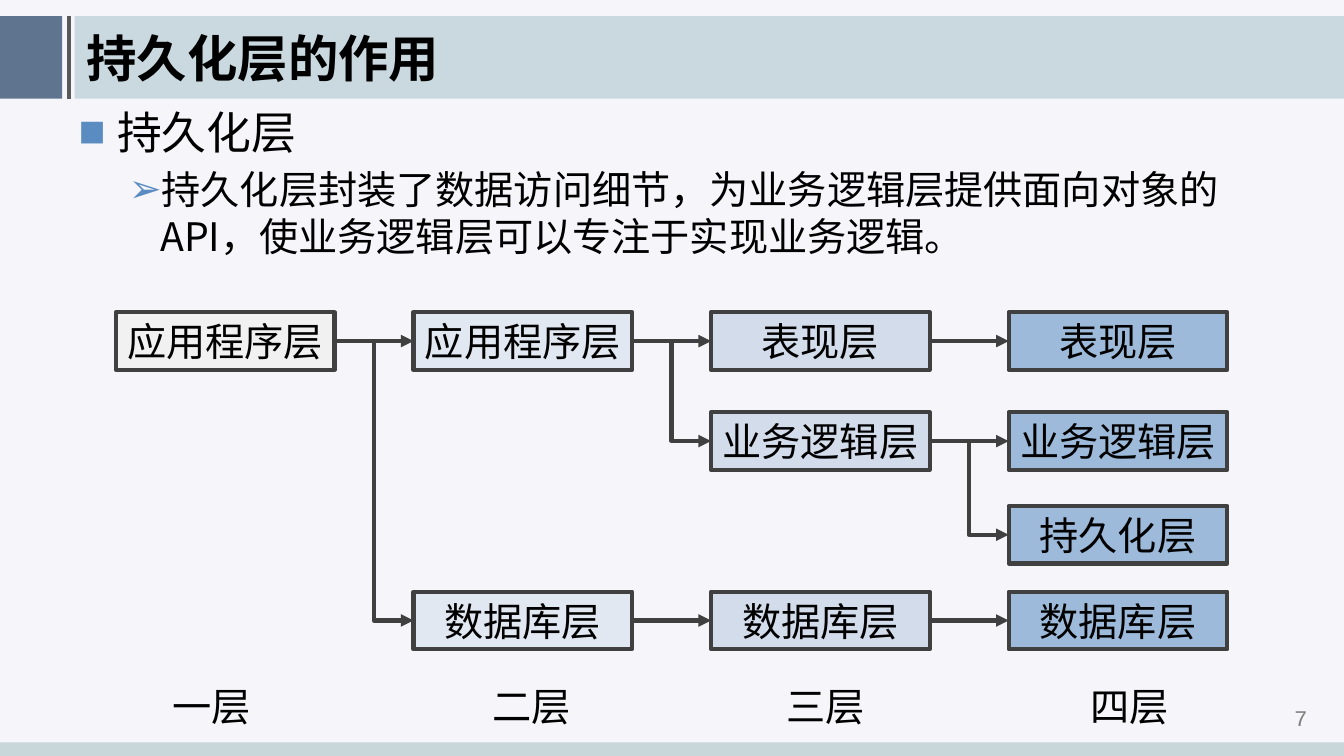
"""Builds the slide on the role of the persistence layer."""
from lxml.etree import SubElement
from pptx import Presentation
from pptx.dml.color import RGBColor
from pptx.enum.shapes import MSO_CONNECTOR as LINK, MSO_SHAPE as SHAPE
from pptx.enum.text import MSO_ANCHOR as ANCHOR, PP_ALIGN as ALIGN
from pptx.oxml.ns import qn
from pptx.util import Cm, Pt

BACKGROUND = RGBColor(0xF5, 0xF5, 0xFA)
NAVY = RGBColor(0x20, 0x40, 0x62)
TEAL = RGBColor(0x66, 0x99, 0xA1)
FOOTER = RGBColor(0xC8, 0xD7, 0xDA)
RULE = RGBColor(0x59, 0x59, 0x59)
OUTLINE = RGBColor(0x40, 0x40, 0x40)
BULLET = RGBColor(0x5B, 0x8C, 0xC1)
GREY = RGBColor(0x80, 0x80, 0x80)
BLACK = RGBColor(0, 0, 0)
ONE_TIER = RGBColor(0xF1, 0xF1, 0xF1)
TWO_TIER = RGBColor(0xE1, 0xE8, 0xF1)
THREE_TIER = RGBColor(0xD3, 0xDC, 0xEB)
FOUR_TIER = RGBColor(0x9D, 0xBA, 0xDA)
CJK = "Noto Sans CJK SC"


def write(paragraph, text, size, align=ALIGN.LEFT, color=BLACK, face=CJK, bold=False):
    paragraph.alignment = align
    run = paragraph.add_run()
    run.text = text
    run.font.color.rgb = color
    for name, value in {"size": Pt(size), "name": face, "bold": bold}.items():
        setattr(run.font, name, value)
    SubElement(run.font._element, qn("a:ea"), typeface=face)


def style_line(connector, color):
    connector.line.color.rgb = color
    connector.line.width = Pt(3)
    SubElement(connector.element.spPr, qn("a:effectLst"))


prs = Presentation()
prs.slide_width, prs.slide_height = Cm(33.87), Cm(19.05)
slide = prs.slides.add_slide(prs.slide_layouts[6])
slide.background.fill.solid()
slide.background.fill.fore_color.rgb = BACKGROUND
shapes = slide.shapes

for left, top, width, height, color, opacity in (
    (0, 0.41, 1.57, 2.08, NAVY, 70),
    (1.88, 0.41, 31.99, 2.08, TEAL, 30),
    (0, 18.71, 33.87, 0.34, FOOTER, 100),
):
    band = shapes.add_shape(SHAPE.RECTANGLE, Cm(left), Cm(top), Cm(width), Cm(height))
    band.shadow.inherit = False
    band.fill.solid()
    band.fill.fore_color.rgb = color
    band.line.fill.background()
    if opacity < 100:
        tint = band.element.spPr.find(".//" + qn("a:srgbClr"))
        SubElement(tint, qn("a:alpha"), val=str(opacity * 1000))

title_rule = shapes.add_connector(LINK.STRAIGHT, Cm(1.73), Cm(2.49), Cm(1.73), Cm(0.41))
style_line(title_rule, RULE)

label_format = {"size": 28, "align": ALIGN.RIGHT}
for text, left, top, width, height, text_format in (
    ("持久化层的作用", 1.93, 0.53, 29.31, 1.85, {"size": 36, "bold": True}),
    ("7", 31.72, 17.68, 2.13, 0.79,
     {"size": 16, "align": ALIGN.CENTER, "color": GREY, "face": "Courier New"}),
    ("一层", 3.73, 17.07, 2.84, 1.45, label_format),
    ("二层", 11.73, 17.07, 2.9, 1.45, label_format),
    ("三层", 18.8, 17.07, 3.25, 1.45, label_format),
    ("四层", 26.7, 17.07, 3, 1.45, label_format),
):
    frame = shapes.add_textbox(Cm(left), Cm(top), Cm(width), Cm(height)).text_frame
    frame.word_wrap = True
    frame.vertical_anchor = ANCHOR.MIDDLE
    write(frame.paragraphs[0], text, **text_format)

body = shapes.add_textbox(Cm(1.73), Cm(2.51), Cm(30.4), Cm(5.41)).text_frame
body.word_wrap = True
body.add_paragraph()
points = (
    ("持久化层", 32, "■", 0, 0.97, 0.97),
    ("持久化层封装了数据访问细节，为业务逻辑层提供面向对象的API，使业务逻辑层可以专注于实现业务逻辑。",
     28, "➢", 1, 2.06, 0.79),
)
for paragraph, (text, size, mark, level, margin, hang) in zip(body.paragraphs, points):
    for name, value in {"level": level, "line_spacing": 1.0, "space_before": Pt(5)}.items():
        setattr(paragraph, name, value)
    write(paragraph, text, size)
    props = paragraph._p.get_or_add_pPr()
    props.set("marL", str(Cm(margin)))
    props.set("indent", str(-Cm(hang)))
    SubElement(SubElement(props, qn("a:buClr")), qn("a:srgbClr"), val=str(BULLET))
    SubElement(props, qn("a:buFont"), typeface="Arial")
    SubElement(props, qn("a:buChar"), char=mark)

row_tops = (7.87, 10.39, 12.75, 14.91)
tiers = (
    (ONE_TIER, {0: "应用程序层"}),
    (TWO_TIER, {0: "应用程序层", 3: "数据库层"}),
    (THREE_TIER, {0: "表现层", 1: "业务逻辑层", 3: "数据库层"}),
    (FOUR_TIER, {0: "表现层", 1: "业务逻辑层", 2: "持久化层", 3: "数据库层"}),
)
layers = {}
for tier, (color, names) in enumerate(tiers):
    for row, text in names.items():
        layer = shapes.add_shape(
            SHAPE.RECTANGLE, Cm(2.92 + 7.5 * tier), Cm(row_tops[row]), Cm(5.51), Cm(1.45))
        layer.shadow.inherit = False
        layer.fill.solid()
        layer.fill.fore_color.rgb = color
        layer.line.color.rgb = OUTLINE
        layer.line.width = Pt(3)
        layer.text_frame.word_wrap = False
        layer.text_frame.vertical_anchor = ANCHOR.MIDDLE
        write(layer.text_frame.paragraphs[0], text, 28, ALIGN.CENTER)
        layers[tier, row] = layer

for tier, from_row, to_row in (
    (0, 0, 0), (0, 0, 3),
    (1, 0, 0), (1, 0, 1), (1, 3, 3),
    (2, 0, 0), (2, 1, 1), (2, 1, 2), (2, 3, 3),
):
    kind = LINK.STRAIGHT if from_row == to_row else LINK.ELBOW
    arrow = shapes.add_connector(kind, 0, 0, 0, 0)
    arrow.begin_connect(layers[tier, from_row], 3)
    arrow.end_connect(layers[tier + 1, to_row], 1)
    style_line(arrow, OUTLINE)
    SubElement(arrow.element.spPr.find(qn("a:ln")), qn("a:tailEnd"), type="triangle")

prs.save("out.pptx")
